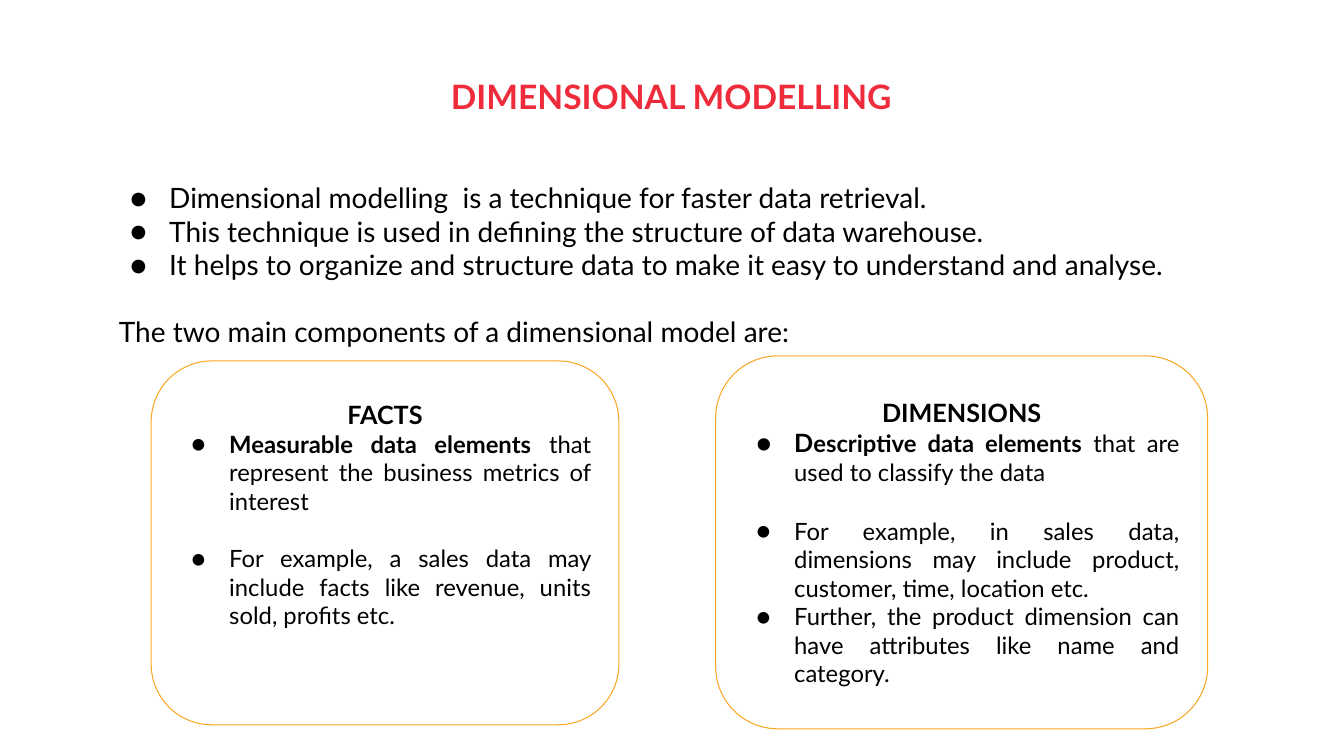
import pptx
import pptx.util
import pptx.dml.color
import pptx.enum.shapes
import pptx.enum.text
import pptx.oxml.ns
import lxml.etree

Pt = pptx.util.Pt
Align = pptx.enum.text.PP_ALIGN
Anchor = pptx.enum.text.MSO_ANCHOR
FONT = "Lato"
RED, BLACK, AMBER = "EE2C3C", "000000", "FAA726"
LINE = 1.2


def color(code):
    """Turn a hex string into a colour."""
    return pptx.dml.color.RGBColor.from_string(code)


def bullet(para, hang):
    """Give a paragraph a round black bullet on a hanging indent."""
    props = para._p.get_or_add_pPr()
    props.set("marL", str(Pt(36)))
    props.set("indent", str(-Pt(hang)))
    tint = lxml.etree.SubElement(props, pptx.oxml.ns.qn("a:buClr"))
    lxml.etree.SubElement(tint, pptx.oxml.ns.qn("a:srgbClr"), val=BLACK)
    lxml.etree.SubElement(props, pptx.oxml.ns.qn("a:buFont"), typeface=FONT)
    lxml.etree.SubElement(props, pptx.oxml.ns.qn("a:buChar"), char="●")


def setup(frame, anchor=Anchor.TOP):
    """Set the wrap, insets and anchor of a text frame."""
    frame.word_wrap = True
    frame.margin_left = frame.margin_right = Pt(7.2)
    frame.margin_top = frame.margin_bottom = Pt(7.2)
    frame.vertical_anchor = anchor


def write(para, parts, align=Align.JUSTIFY, gap=0, hang=0, tint=BLACK):
    """Fill a paragraph with (text, size, bold) parts."""
    para.alignment = align
    para.space_before = Pt(gap)
    if hang:
        bullet(para, hang)
    for text, size, bold in parts:
        run = para.add_run()
        run.text = text
        run.font.name = FONT
        run.font.size = Pt(size)
        run.font.bold = bold
        run.font.color.rgb = color(tint)


def title(slide, box, text):
    """Place the centred red title in its box."""
    frame = slide.shapes.add_textbox(*map(Pt, box)).text_frame
    setup(frame)
    write(frame.paragraphs[0], [(text, 24, True)], Align.CENTER, tint=RED)


def intro(slide, box, points, lead):
    """Place the bullet points and the lead-in line below them."""
    frame = slide.shapes.add_textbox(*map(Pt, box)).text_frame
    setup(frame)
    para = frame.paragraphs[0]
    for text in points:
        write(para, [(text, 20, False)], hang=28)
        para = frame.add_paragraph()
    write(para, [(lead, 20, False)], gap=20 * LINE)


def card(slide, box, head, items, foot=0):
    """Place a rounded card with a heading and (parts, gap) bullets."""
    shape = slide.shapes.add_shape(
        pptx.enum.shapes.MSO_SHAPE.ROUNDED_RECTANGLE, *map(Pt, box))
    shape.shadow.inherit = False
    shape.fill.background()
    shape.line.color.rgb = color(AMBER)
    shape.line.width = Pt(0.75)
    frame = shape.text_frame
    setup(frame, Anchor.MIDDLE)
    frame.margin_bottom = Pt(7.2 + foot)
    write(frame.paragraphs[0], [(head, 18, True)], Align.CENTER)
    for parts, gap in items:
        write(frame.add_paragraph(), parts, gap=gap, hang=27)


def main():
    """Build the slide and save it."""
    deck = pptx.Presentation()
    deck.slide_width, deck.slide_height = Pt(960), Pt(540)
    slide = deck.slides.add_slide(deck.slide_layouts[6])
    title(slide, (32.4, 46.8, 894.2, 59.8), "DIMENSIONAL MODELLING")
    intro(slide, (77.8, 121.7, 804.2, 136), [
        "Dimensional modelling  is a technique for faster data retrieval.",
        "This technique is used in defining the structure of data warehouse.",
        "It helps to organize and structure data to make it easy to "
        "understand and analyse.",
    ], "The two main components of a dimensional model are:")
    card(slide, (108, 257.8, 334.1, 259.9), "FACTS", [
        ([("Measurable data elements", 17, True),
          (" that represent the business metrics of interest", 17, False)], 0),
        ([("For example, a sales data may include facts like revenue, "
           "units sold, profits etc.", 17, False)], 17 * LINE),
    ], foot=2 * 17 * LINE)
    card(slide, (511.2, 254.2, 351.4, 266.4), "DIMENSIONS", [
        ([("D", 18, True), ("escriptive data elements", 17, True),
          (" that are used to classify the data", 17, False)], 0),
        ([("For example, in sales data, dimensions may include product, "
           "customer, time, location etc.", 17, False)], 18 * LINE),
        ([("Further, the product dimension can have attributes like name "
           "and category.", 17, False)], 0),
    ])
    deck.save("out.pptx")


if __name__ == "__main__":
    main()
